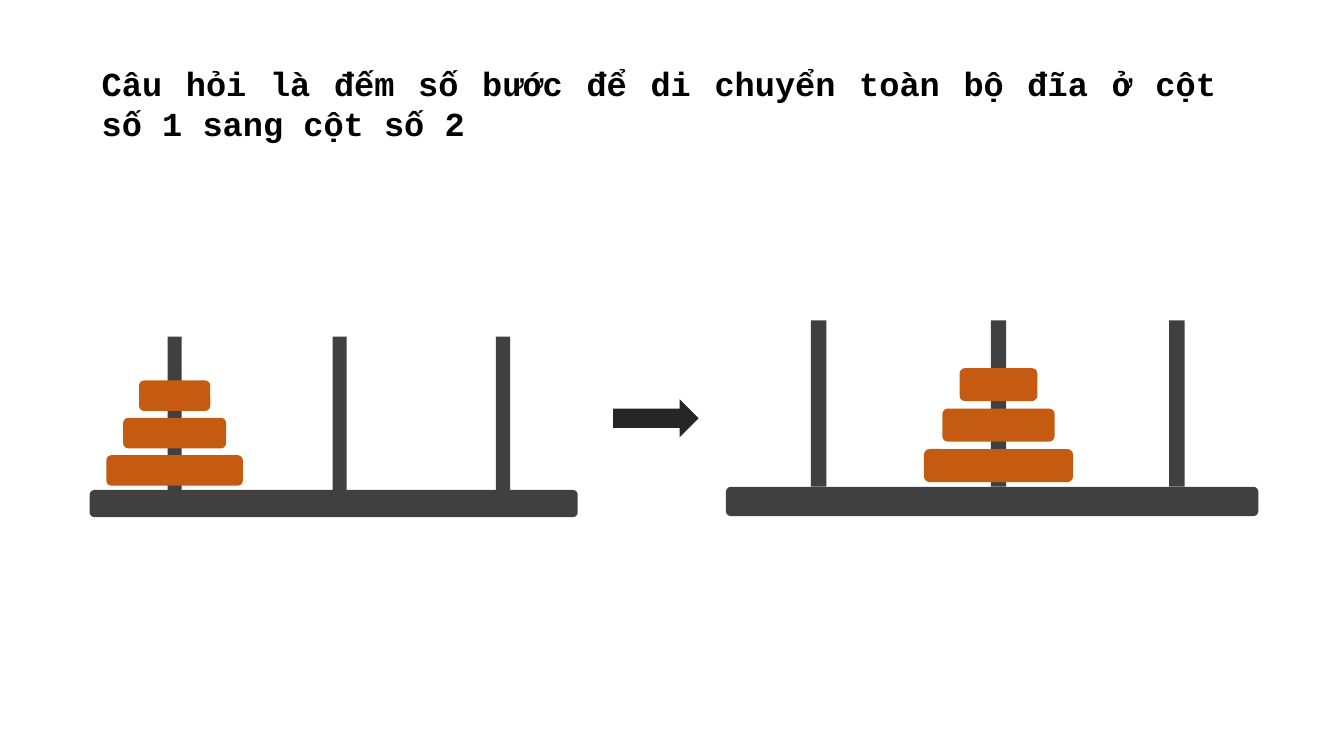
from pptx import Presentation
from pptx.dml.color import RGBColor
from pptx.enum.shapes import MSO_SHAPE
from pptx.enum.text import MSO_AUTO_SIZE, PP_ALIGN
from pptx.util import Inches, Pt

BLACK = RGBColor(0x00, 0x00, 0x00)
FRAME_GRAY = RGBColor(0x40, 0x40, 0x40)
ARROW_GRAY = RGBColor(0x26, 0x26, 0x26)
DISK_ORANGE = RGBColor(0xC5, 0x5A, 0x11)

QUESTION = "Câu hỏi là đếm số bước để di chuyển toàn bộ đĩa ở cột số 1 sang cột số 2"

PEG_CENTERS = (0.174, 0.512, 0.847)
PEG_WIDTH = 0.029
BASE_HEIGHT = 0.15
DISK_WIDTHS = (0.28, 0.211, 0.146)
DISK_HEIGHT = 0.169
DISK_TOP = 0.657
DISK_STEP = 0.207


def add_solid(shapes, kind, box, color):
    shape = shapes.add_shape(kind, *map(Inches, box))
    shape.shadow.inherit = False
    shape.fill.solid()
    shape.fill.fore_color.rgb = color
    shape.line.fill.background()


def add_question(slide, box):
    text_box = slide.shapes.add_textbox(*map(Inches, box))
    frame = text_box.text_frame
    frame.word_wrap = True
    frame.auto_size = MSO_AUTO_SIZE.SHAPE_TO_FIT_TEXT
    paragraph = frame.paragraphs[0]
    paragraph.alignment = PP_ALIGN.JUSTIFY
    run = paragraph.add_run()
    run.text = QUESTION
    for name, value in {"name": "Courier New", "size": Pt(24), "bold": True}.items():
        setattr(run.font, name, value)
    run.font.color.rgb = BLACK


def add_tower(slide, box, disk_peg):
    left, top, width, height = box
    shapes = slide.shapes.add_group_shape().shapes

    def add_part(kind, center, part_top, part_width, part_height, color):
        part_box = (
            left + (center - part_width / 2) * width,
            top + part_top * height,
            part_width * width,
            part_height * height,
        )
        add_solid(shapes, kind, part_box, color)

    peg_height = 1 - BASE_HEIGHT
    add_part(MSO_SHAPE.ROUNDED_RECTANGLE, 0.5, peg_height, 1, BASE_HEIGHT, FRAME_GRAY)
    for center in PEG_CENTERS:
        add_part(MSO_SHAPE.RECTANGLE, center, 0, PEG_WIDTH, peg_height, FRAME_GRAY)
    for level, disk_width in enumerate(DISK_WIDTHS):
        add_part(MSO_SHAPE.ROUNDED_RECTANGLE, PEG_CENTERS[disk_peg],
                 DISK_TOP - level * DISK_STEP, disk_width, DISK_HEIGHT, DISK_ORANGE)


def main():
    presentation = Presentation()
    presentation.slide_width = Inches(13.33)
    presentation.slide_height = Inches(7.5)
    slide = presentation.slides.add_slide(presentation.slide_layouts[6])
    add_tower(slide, (0.89, 3.34, 4.84, 1.79), disk_peg=0)
    add_tower(slide, (7.2, 3.18, 5.28, 1.94), disk_peg=1)
    add_question(slide, (0.91, 0.57, 11.25, 0.91))
    add_solid(slide.shapes, MSO_SHAPE.RIGHT_ARROW, (6.08, 3.96, 0.85, 0.38), ARROW_GRAY)
    presentation.save("out.pptx")


if __name__ == "__main__":
    main()
